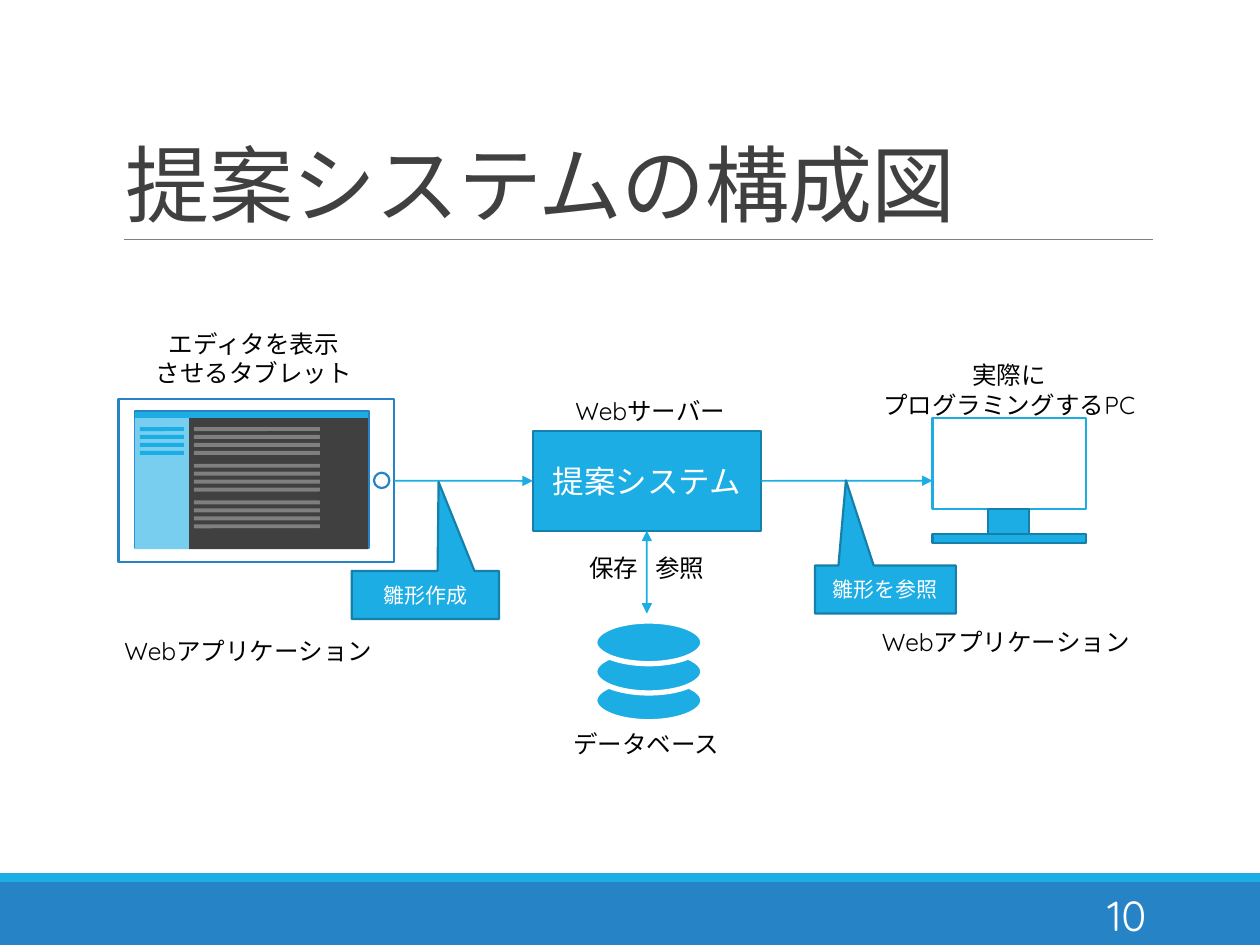
from lxml import etree
from pptx import Presentation
from pptx.dml.color import RGBColor
from pptx.enum.shapes import MSO_CONNECTOR, MSO_SHAPE
from pptx.enum.text import MSO_ANCHOR, PP_ALIGN
from pptx.oxml.ns import qn
from pptx.util import Cm, Pt

RECT, ROUNDED, OVAL = MSO_SHAPE.RECTANGLE, MSO_SHAPE.ROUNDED_RECTANGLE, MSO_SHAPE.OVAL
CALLOUT = MSO_SHAPE.RECTANGULAR_CALLOUT
STRAIGHT = MSO_CONNECTOR.STRAIGHT
LEFT, CENTER, RIGHT = PP_ALIGN.LEFT, PP_ALIGN.CENTER, PP_ALIGN.RIGHT
TOP, MIDDLE, BOTTOM = MSO_ANCHOR.TOP, MSO_ANCHOR.MIDDLE, MSO_ANCHOR.BOTTOM
SITE_BOTTOM, SITE_LEFT, SITE_RIGHT = 2, 1, 3

WHITE = RGBColor(0xFF, 0xFF, 0xFF)
BLACK = RGBColor(0x00, 0x00, 0x00)
CHARCOAL = RGBColor(0x40, 0x40, 0x40)
RULE_GRAY = RGBColor(0x80, 0x80, 0x80)
CODE_GRAY = RGBColor(0xBF, 0xBF, 0xBF)
BLUE = RGBColor(0x26, 0x83, 0xC6)
SKY = RGBColor(0x1C, 0xAD, 0xE4)
PALE_SKY = RGBColor(0x77, 0xCE, 0xEF)
DEEP_SKY = RGBColor(0x15, 0x80, 0xA9)
FONT = "Quicksand"


def style_paragraph(paragraph, size, color, align):
    """Format a paragraph and all its runs."""
    paragraph.alignment = align
    for run in paragraph.runs:
        run.font.name = FONT
        run.font.size = Pt(size)
        run.font.color.rgb = color


def add_text(slide, box, text, size=14, color=BLACK, align=CENTER, anchor=TOP, wrap=True):
    """Add a text box and return its paragraph."""
    frame = slide.shapes.add_textbox(*map(Cm, box)).text_frame
    frame.word_wrap = wrap
    frame.vertical_anchor = anchor
    paragraph = frame.paragraphs[0]
    paragraph.text = text
    style_paragraph(paragraph, size, color, align)
    return paragraph


def add_block(slide, kind, box, fill=None, line=None, width=1.25, text="", size=12):
    """Add a flat preset shape, with a centred label if text is given."""
    block = slide.shapes.add_shape(kind, *map(Cm, box))
    block.shadow.inherit = False
    if fill is None:
        block.fill.background()
    else:
        block.fill.solid()
        block.fill.fore_color.rgb = fill
    if line is None:
        block.line.fill.background()
    else:
        block.line.color.rgb = line
        block.line.width = Pt(width)
    if text:
        block.text_frame.text = text
        block.text_frame.vertical_anchor = MIDDLE
        style_paragraph(block.text_frame.paragraphs[0], size, WHITE, CENTER)
    return block


def add_line(slide, start, end, color=SKY, width=1, arrows=("tailEnd",)):
    """Add a straight connector with triangles at the given ends."""
    line = slide.shapes.add_connector(STRAIGHT, *map(Cm, start + end))
    line.line.color.rgb = color
    line.line.width = Pt(width)
    for arrow in arrows:
        etree.SubElement(line.line._get_or_add_ln(), qn(f"a:{arrow}"), type="triangle")
    etree.SubElement(line._element.spPr, qn("a:effectLst"))
    return line


def add_bars(slide, left, top, width, count, color, opacity=100):
    """Add a stack of thin rounded bars that stand for lines of text."""
    for row in range(count):
        bar = add_block(slide, ROUNDED, (left, top + 0.16 * row, width, 0.08), color)
        if opacity < 100:
            rgb = bar._element.spPr.find(qn("a:solidFill")).find(qn("a:srgbClr"))
            etree.SubElement(rgb, qn("a:alpha"), val=str(opacity * 1000))


def add_callout(slide, box, text, tip):
    """Add a callout whose tip is offset from its centre by parts of its size."""
    callout = add_block(slide, CALLOUT, box, SKY, DEEP_SKY, text=text)
    callout.adjustments[0], callout.adjustments[1] = tip


def add_frame(slide):
    """Add the footer bands, title, title rule and page number."""
    add_block(slide, RECT, (0, 17.78, 25.4, 1.27), BLUE)
    add_block(slide, RECT, (0, 17.6, 25.4, 0.18), SKY)
    add_line(slide, (2.49, 4.83), (23.24, 4.83), RULE_GRAY, 0.5, ())
    title = add_text(slide, (2.29, 0.79, 20.95, 4.04), "提案システムの構成図", 48, CHARCOAL, LEFT, BOTTOM)
    title.line_spacing = 0.85
    title.runs[0].font._element.set("spc", "-50")
    add_text(slide, (20.62, 17.93, 2.74, 1.02), "10", 24, WHITE, RIGHT, MIDDLE)


def add_tablet(slide):
    """Add the tablet showing the editor and return its body."""
    body = add_block(slide, RECT, (2.39, 8.05, 5.56, 3.28), WHITE, BLUE)
    add_block(slide, RECT, (2.72, 8.28, 4.72, 2.77), line=BLUE)
    add_block(slide, RECT, (2.72, 8.31, 4.7, 0.13), SKY)
    add_block(slide, OVAL, (7.54, 9.53, 0.31, 0.31), WHITE, BLUE)
    add_block(slide, RECT, (3.81, 8.43, 3.61, 2.64), CHARCOAL)
    add_block(slide, RECT, (2.72, 8.43, 1.09, 2.64), PALE_SKY)
    add_bars(slide, 2.82, 8.61, 0.89, 4, SKY)
    for group in range(3):
        add_bars(slide, 3.91, 8.61 + 0.74 * group, 2.54, 4, CODE_GRAY, 50)
    add_text(slide, (2.29, 6.5, 5.66, 1.45), "エディタを表示\nさせるタブレット")
    add_text(slide, (2.26, 12.7, 5.64, 0.86), "Webアプリケーション", align=LEFT, wrap=False)
    return body


def add_server(slide):
    """Add the web server block and return it."""
    server = add_block(slide, RECT, (10.74, 8.69, 4.6, 2.01), SKY, DEEP_SKY, text="提案システム", size=18)
    add_text(slide, (10.85, 7.85, 4.52, 0.86), "Webサーバー")
    return server


def add_database(slide):
    """Add the database disks, from the lowest up, and their label."""
    for top in (13.69, 13.11, 12.52):
        add_block(slide, OVAL, (11.99, top, 2.18, 0.86), SKY, WHITE, 3)
    add_text(slide, (11.1, 14.58, 3.86, 0.86), "データベース")


def add_computer(slide):
    """Add the desktop computer and its labels."""
    add_block(slide, RECT, (18.8, 8.43, 3.1, 1.83), WHITE, SKY)
    add_block(slide, RECT, (19.91, 10.26, 0.84, 0.51), SKY, DEEP_SKY)
    add_block(slide, RECT, (18.8, 10.77, 3.1, 0.18), SKY, DEEP_SKY)
    add_text(slide, (17.45, 7.14, 5.79, 1.45), "実際に\nプログラミングするPC", wrap=False)
    add_text(slide, (17.53, 12.52, 5.64, 0.86), "Webアプリケーション", align=LEFT, wrap=False)


def add_flows(slide, tablet, server):
    """Add the arrows between the parts and the notes on them."""
    template_flow = add_line(slide, (7.95, 9.69), (10.74, 9.69))
    template_flow.begin_connect(tablet, SITE_RIGHT)
    template_flow.end_connect(server, SITE_LEFT)
    reference_flow = add_line(slide, (15.34, 9.69), (18.8, 9.69))
    reference_flow.begin_connect(server, SITE_RIGHT)
    storage_flow = add_line(slide, (13.04, 12.37), (13.04, 10.7), arrows=("headEnd", "tailEnd"))
    storage_flow.end_connect(server, SITE_BOTTOM)
    storage_label = add_text(slide, (10.74, 11.02, 4.6, 0.86), "")
    for part in ("保存", " ", "参照"):
        storage_label.add_run().text = part
    style_paragraph(storage_label, 14, BLACK, CENTER)
    storage_label.runs[1].font._element.set("spc", "650")
    add_callout(slide, (16.43, 11.4, 2.84, 0.97), "雛形を参照", (-0.28, -2.27))
    add_callout(slide, (7.09, 11.51, 2.97, 0.97), "雛形作成", (0.09, -2.35))


def main():
    """Build the system diagram slide."""
    deck = Presentation()
    deck.slide_width, deck.slide_height = Cm(25.4), Cm(19.05)
    slide = deck.slides.add_slide(deck.slide_layouts[6])
    add_frame(slide)
    tablet = add_tablet(slide)
    server = add_server(slide)
    add_database(slide)
    add_computer(slide)
    add_flows(slide, tablet, server)
    deck.save("out.pptx")


if __name__ == "__main__":
    main()
